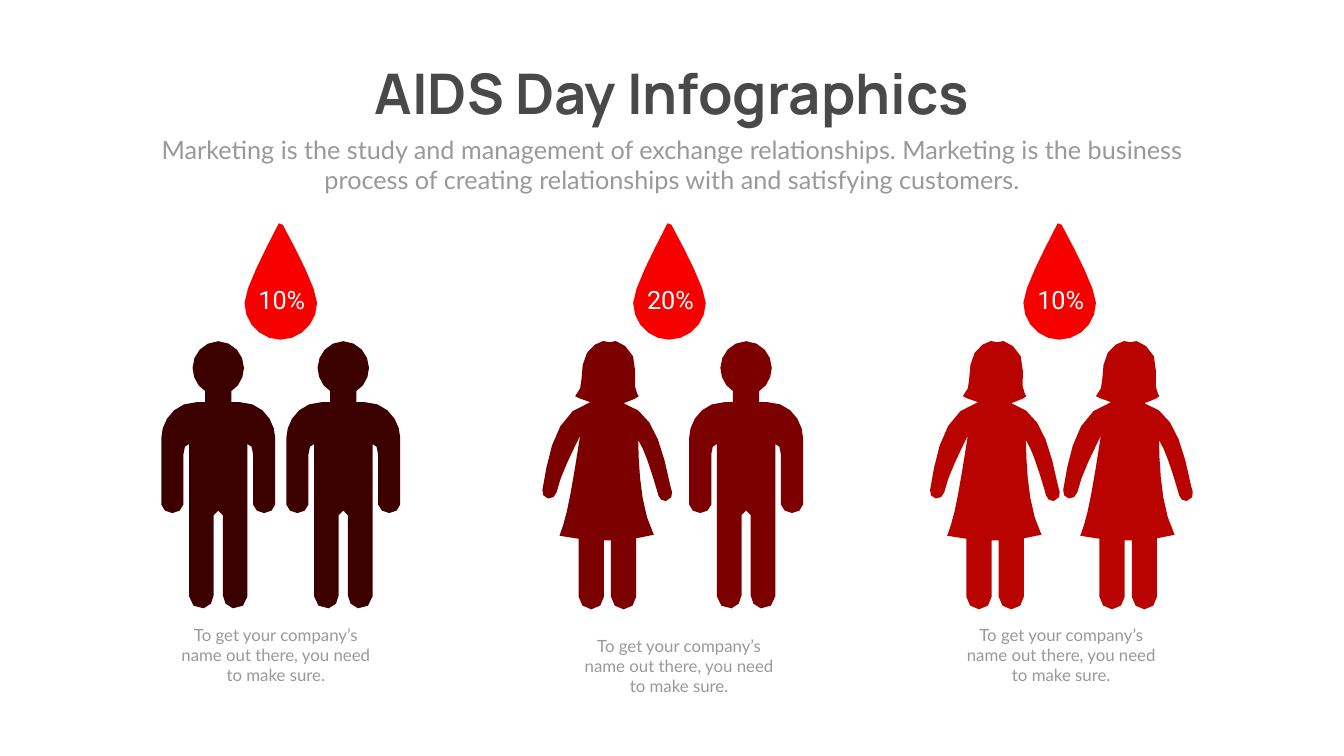
from dataclasses import dataclass
from math import dist

from pptx import Presentation
from pptx import util as u
from pptx.dml.color import RGBColor
from pptx.enum import text


@dataclass(frozen=True)
class Theme:
    """Colours, fonts and type sizes of the slide."""
    heading: str = "494949"
    muted: str = "999999"
    light: str = "FFFFFF"
    blood: str = "F70100"
    dark: str = "3D0001"
    medium: str = "7C0000"
    bright: str = "B80300"
    title_font: str = "Manrope"
    body_font: str = "Lato"
    number_font: str = "Roboto"
    title_size: int = 80
    large_size: int = 36
    caption_size: int = 24


@dataclass(frozen=True)
class Couple:
    """Content and offsets of one infographic column."""
    left: float
    percent: str
    color: str
    people: tuple
    drop_left: float
    caption_left: float
    caption_top: float


THEME = Theme()
CAPTION = "To get your company’s name out there, you need to make sure."
SUBTITLE = ("Marketing is the study and management of exchange relationships. "
            "Marketing is the business process of creating relationships with "
            "and satisfying customers.")
STEPS_PER_INCH = 3
MAX_STEPS = 5
PIXELS_PER_INCH = 1000


def trace(segments):
    """Return points along segments of two (line) or six (cubic curve) numbers."""
    points = [segments[0]]
    for segment in segments[1:]:
        if len(segment) == 2:
            points.append(segment)
            continue
        start = points[-1]
        reach = dist(start, segment[:2]) + dist(segment[:2], segment[2:4]) \
            + dist(segment[2:4], segment[4:])
        steps = min(MAX_STEPS, 1 + round(reach * STEPS_PER_INCH))
        for step in range(1, steps + 1):
            t = step / steps
            s = 1 - t
            points.append(tuple(
                s ** 3 * start[axis] + 3 * s * s * t * segment[axis]
                + 3 * s * t * t * segment[axis + 2] + t ** 3 * segment[axis + 4]
                for axis in (0, 1)))
    return points


def mirror(half, axis):
    """Close a half outline, given by its distance from a vertical axis."""
    right = [(axis + x, y) for x, y in half]
    left = [(axis - x, y) for x, y in reversed(half) if x]
    return right + left


DROP = trace([
    (0.76, 0.03), (0.68, 0), (0.65, 0.08, 0, 1.25, 0, 1.58),
    (0, 1.98, 0.33, 2.31, 0.71, 2.31), (1.11, 2.31, 1.44, 1.98, 1.44, 1.58),
    (1.44, 1.25, 0.78, 0.08, 0.76, 0.03)])

MAN = mirror(trace([
    (0, 0.05), (0.3, 0.06, 0.51, 0.31, 0.51, 0.58),
    (0.51, 0.76, 0.41, 0.96, 0.26, 1.04), (0.26, 1.26), (0.43, 1.26),
    (0.89, 1.26, 1.13, 1.66, 1.13, 1.97), (1.13, 3.29),
    (1.13, 3.39, 1.01, 3.46, 0.91, 3.46), (0.82, 3.46, 0.69, 3.39, 0.69, 3.29),
    (0.69, 2.29), (0.69, 2.18, 0.65, 2.08, 0.58, 2.09), (0.58, 5.11),
    (0.58, 5.26, 0.44, 5.38, 0.29, 5.35), (0.17, 5.33, 0.09, 5.21, 0.09, 5.09),
    (0.09, 3.5), (0.09, 3.45, 0.05, 3.41, 0, 3.41)]), 1.18)

WOMAN = trace([
    (2.62, 3.04), (2.59, 2.93), (2.4, 2, 2.21, 1.44, 1.66, 1.28),
    (1.86, 1.23, 1.96, 1.14, 1.96, 1.14), (1.96, 1.14, 1.84, 1.03, 1.89, 0.64),
    (1.95, 0.2, 1.47, -0.05, 1.38, 0.07), (1.27, -0.03, 0.89, 0.15, 0.85, 0.52),
    (0.8, 0.9, 0.86, 0.96, 0.7, 1.14), (0.7, 1.14, 0.81, 1.21, 1, 1.26),
    (0.32, 1.43, 0.17, 2.27, 0.05, 3), (0.03, 3.08, 0.08, 3.15, 0.16, 3.17),
    (0.24, 3.18, 0.31, 3.13, 0.33, 3.05), (0.4, 2.66, 0.86, 1.83, 0.8, 1.91),
    (0.59, 3.26, 0.53, 3.53, 0.39, 3.91), (0.77, 3.97),
    (0.77, 5.12), (0.77, 5.25, 0.88, 5.37, 1.02, 5.37),
    (1.16, 5.37, 1.27, 5.25, 1.27, 5.12), (1.27, 4), (1.41, 4), (1.41, 5.12),
    (1.41, 5.26, 1.53, 5.37, 1.66, 5.37), (1.8, 5.37, 1.91, 5.26, 1.91, 5.12),
    (1.91, 3.96), (2.26, 3.89), (1.99, 3.36, 1.96, 2.55, 1.95, 2.01),
    (2.08, 2.22, 2.18, 2.53, 2.32, 3), (2.35, 3.11),
    (2.37, 3.18, 2.42, 3.22, 2.49, 3.22), (2.52, 3.21),
    (2.6, 3.19, 2.64, 3.11, 2.62, 3.04)])

COUPLES = [
    Couple(3.15, "10%", THEME.dark, ((MAN, 0), (MAN, 2.48)), 1.7, 0.33, 7.91),
    Couple(10.71, "20%", THEME.medium, ((WOMAN, 0), (MAN, 2.91)), 1.85, 0.77, 8.13),
    Couple(18.4, "10%", THEME.bright, ((WOMAN, 0), (WOMAN, 2.64)), 1.9, 0.66, 7.91),
]


def place(shape, left, top, width, height):
    """Move a shape to a box given in inches."""
    shape.left, shape.top = u.Inches(left), u.Inches(top)
    shape.width, shape.height = u.Inches(width), u.Inches(height)


def write(shape, words, font, size, color, bold=False, wrap=True):
    """Fill a shape with one centred, formatted run."""
    frame = shape.text_frame
    frame.word_wrap = wrap
    frame.auto_size = text.MSO_AUTO_SIZE.NONE
    frame.vertical_anchor = text.MSO_ANCHOR.TOP
    paragraph = frame.paragraphs[0]
    paragraph.alignment = text.PP_ALIGN.CENTER
    paragraph.space_before = u.Pt(0)
    run = paragraph.add_run()
    run.text = words
    run.font.name = font
    run.font.size = u.Pt(size)
    run.font.bold = bold
    run.font.color.rgb = RGBColor.from_string(color)


def add_label(slide, box, words, font, size, color):
    """Add a text box at a box given in inches."""
    label = slide.shapes.add_textbox(*(u.Inches(length) for length in box))
    write(label, words, font, size, color)


def add_outline(slide, points, left, top, color):
    """Draw a filled outline whose own origin lies at left and top."""
    pixels = [(round((left + x) * PIXELS_PER_INCH), round((top + y) * PIXELS_PER_INCH))
              for x, y in points]
    builder = slide.shapes.build_freeform(*pixels[0], scale=u.Inches(1) / PIXELS_PER_INCH)
    builder.add_line_segments(pixels[1:], close=True)
    shape = builder.convert_to_shape()
    shape.shadow.inherit = False
    shape.fill.solid()
    shape.fill.fore_color.rgb = RGBColor.from_string(color)
    shape.line.fill.background()


def add_header(slide, left, top, width):
    """Place the title and the subtitle below it."""
    title, subtitle = slide.shapes.title, slide.placeholders[1]
    place(title, left, top, width, 1.45)
    write(title, "AIDS Day Infographics", THEME.title_font, THEME.title_size,
          THEME.heading, bold=True, wrap=False)
    place(subtitle, left, top + 1.49, width, 1.31)
    write(subtitle, SUBTITLE, THEME.body_font, THEME.large_size, THEME.muted)


def add_couple(slide, couple, top):
    """Place two people, the drop above them and the caption below."""
    for outline, offset in couple.people:
        add_outline(slide, outline, couple.left + offset, top + 2.29, couple.color)
    drop_left = couple.left + couple.drop_left
    add_outline(slide, DROP, drop_left, top, THEME.blood)
    add_label(slide, (drop_left + 0.06, top + 1.17, 1.36, 0.71), couple.percent,
              THEME.number_font, THEME.large_size, THEME.light)
    add_label(slide, (couple.left + couple.caption_left, top + couple.caption_top, 3.98, 1.31),
              CAPTION, THEME.body_font, THEME.caption_size, THEME.muted)


def main():
    """Build and save the slide."""
    presentation = Presentation()
    presentation.slide_width = u.Inches(26.66)
    presentation.slide_height = u.Inches(15)
    slide = presentation.slides.add_slide(presentation.slide_layouts[0])
    add_header(slide, 2.92, 1.12, 20.82)
    for couple in COUPLES:
        add_couple(slide, couple, 4.43)
    presentation.save("out.pptx")


if __name__ == "__main__":
    main()
